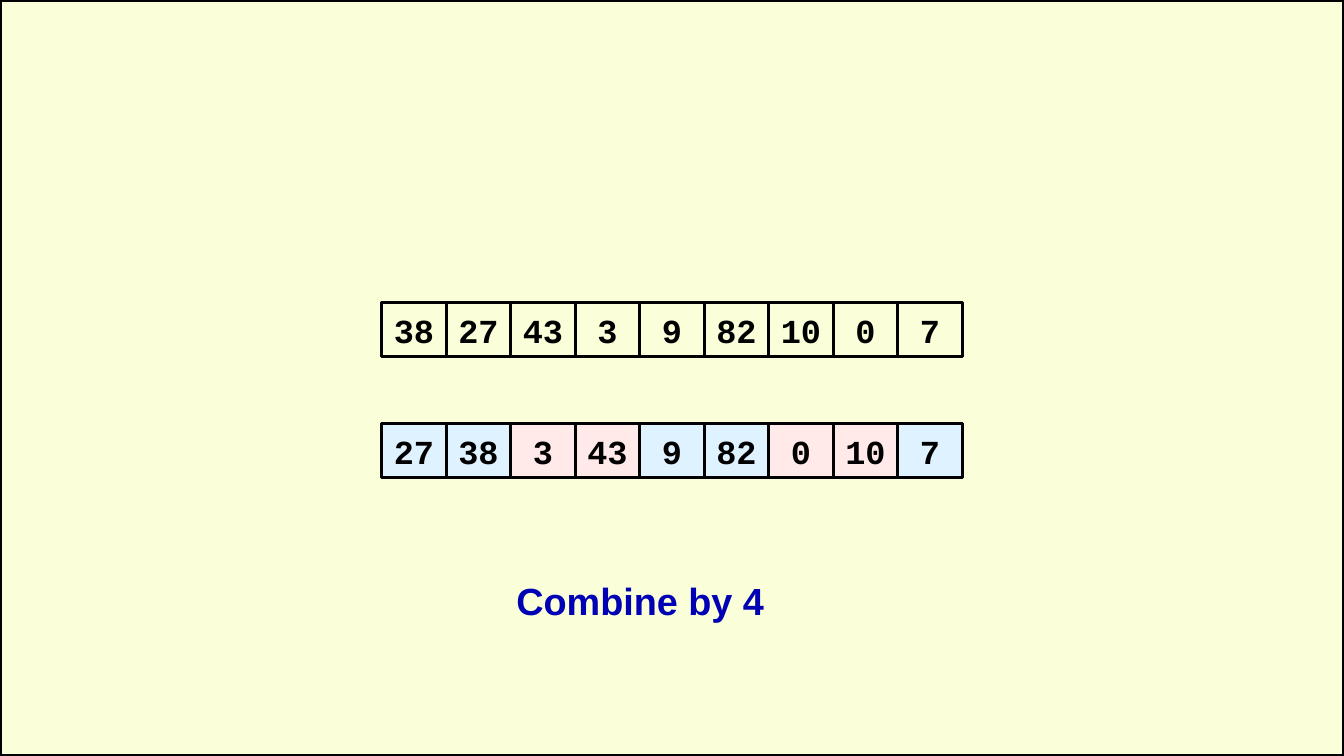
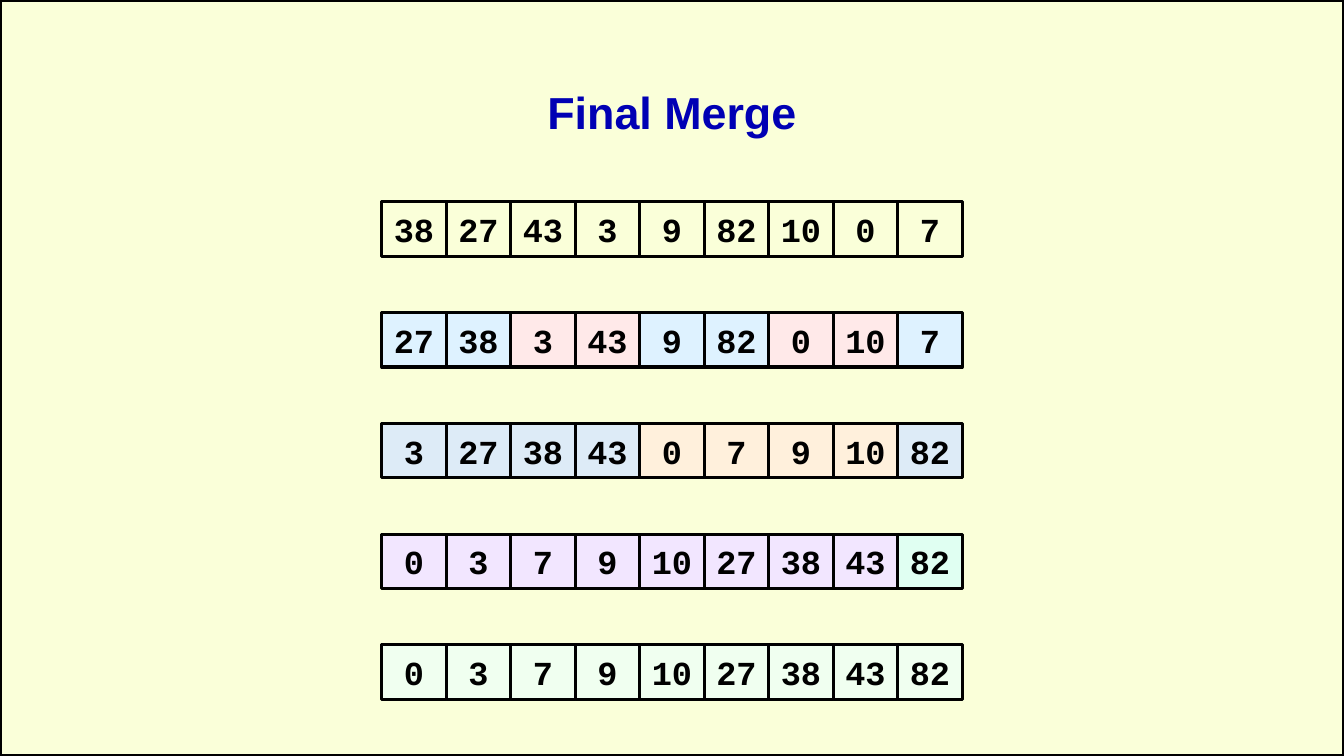
"""Builds two slides that show the passes of a bottom-up merge sort."""
from pptx import Presentation
from pptx.dml.color import RGBColor
from pptx.enum.shapes import MSO_SHAPE
from pptx.enum.text import MSO_ANCHOR, PP_ALIGN
from pptx.util import Inches, Pt

RECT = MSO_SHAPE.RECTANGLE
MIDDLE = MSO_ANCHOR.MIDDLE
CENTER = PP_ALIGN.CENTER

COLORS = {
    "cream": "FAFFD9", "black": "000000", "navy": "0000B4",
    "blue": "DEF2FF", "pink": "FFE9E9", "steel": "DDEBF7", "peach": "FFF0DC",
    "lilac": "F2E6FF", "mint": "E0FFF2", "green": "F0FFF0",
}
SLIDE_W, SLIDE_H = 17.78, 10
ROW_LEFT, ROW_W, CELL_H = 5.05, 7.68, 0.72

PASSES = [
    ([38, 27, 43, 3, 9, 82, 10, 0, 7], 9, ["cream"]),
    ([27, 38, 3, 43, 9, 82, 0, 10, 7], 2, ["blue", "pink"]),
    ([3, 27, 38, 43, 0, 7, 9, 10, 82], 4, ["steel", "peach"]),
    ([0, 3, 7, 9, 10, 27, 38, 43, 82], 8, ["lilac", "mint"]),
    ([0, 3, 7, 9, 10, 27, 38, 43, 82], 9, ["green"]),
]


def rgb(name):
    return RGBColor.from_string(COLORS[name])


class Deck:
    """Holds the style and the current slide."""

    def __init__(self):
        self.prs = Presentation()
        self.prs.slide_width = Inches(SLIDE_W)
        self.prs.slide_height = Inches(SLIDE_H)
        self.s = None

    def slide(self):
        self.s = self.prs.slides.add_slide(self.prs.slide_layouts[6])
        fill = self.s.background.fill
        fill.solid()
        fill.fore_color.rgb = rgb("cream")
        self.box(0, 0, SLIDE_W, SLIDE_H)

    def box(self, x, y, w, h, color=None):
        sp = self.s.shapes.add_shape(RECT, Inches(x), Inches(y), Inches(w), Inches(h))
        sp.shadow.inherit = False
        if color:
            sp.fill.solid()
            sp.fill.fore_color.rgb = rgb(color)
        else:
            sp.fill.background()
        sp.line.color.rgb = rgb("black")
        sp.line.width = Pt(3)
        return sp

    def label(self, sp, text, font, size, color):
        tf = sp.text_frame
        tf.word_wrap = True
        tf.vertical_anchor = MIDDLE
        p = tf.paragraphs[0]
        p.text = text
        p.alignment = CENTER
        p.font.name = font
        p.font.size = Pt(size)
        p.font.bold = True
        p.font.color.rgb = rgb(color)

    def title(self, text, x, y, h, size):
        sp = self.s.shapes.add_textbox(Inches(x), Inches(y), Inches(SLIDE_W), Inches(h))
        self.label(sp, text, "Arial", size, "navy")

    def rows(self, passes, top, pitch):
        for i, (values, run, colors) in enumerate(passes):
            w = ROW_W / len(values)
            for j, value in enumerate(values):
                color = colors[j // run % len(colors)]
                sp = self.box(ROW_LEFT + j * w, top + i * pitch, w, CELL_H, color)
                self.label(sp, str(value), "Courier New", 32, "black")


def main():
    deck = Deck()

    deck.slide()
    deck.title("Combine by 4", -0.42, 7.58, 0.71, 36)
    deck.rows(PASSES[:2], 4, 1.6)

    deck.slide()
    deck.title("Final Merge", 0, 1.06, 0.82, 42.7)
    deck.rows(PASSES, 2.67, (8.53 - 2.67) / 4)

    deck.prs.save("out.pptx")


if __name__ == "__main__":
    main()
